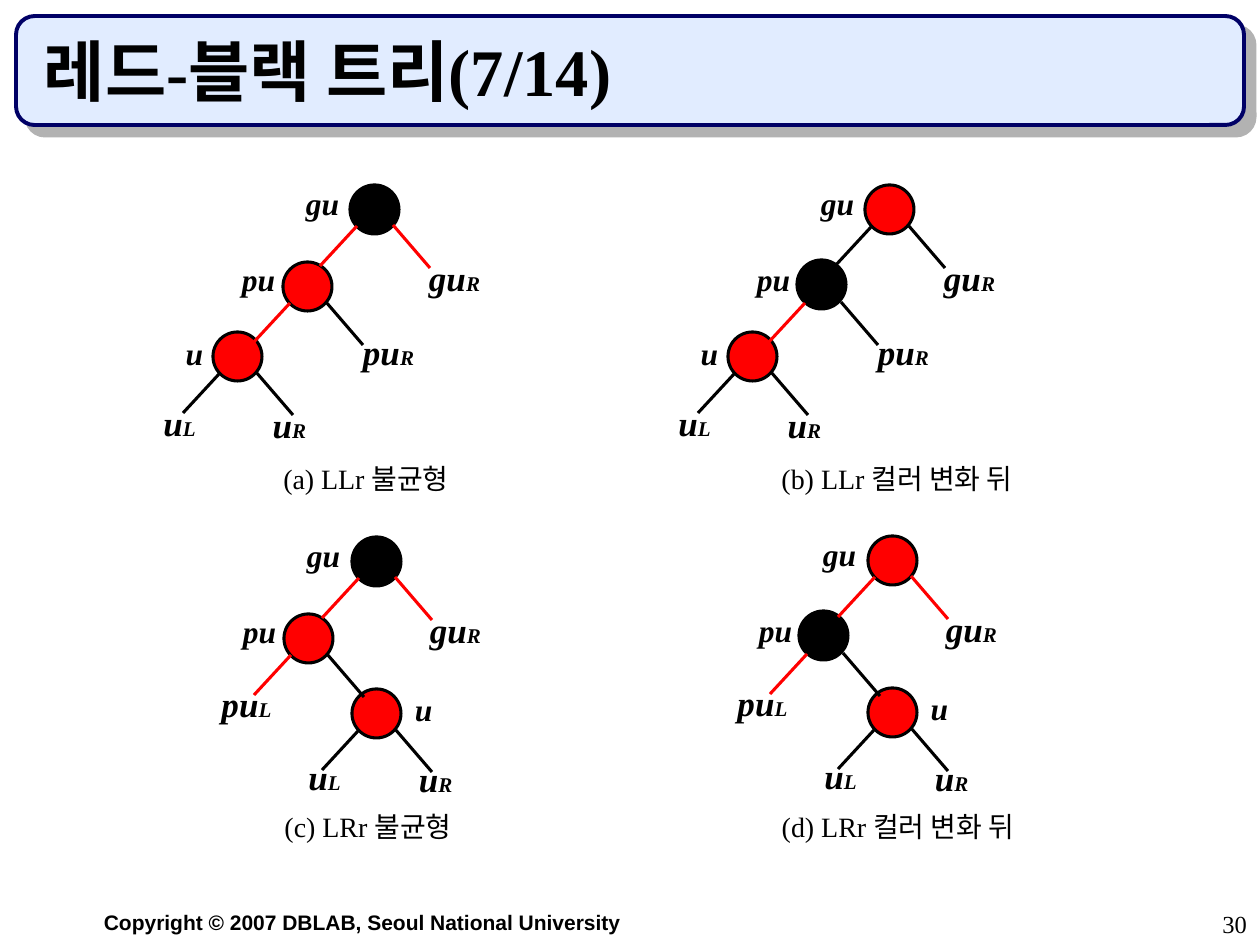
from lxml import etree
from pptx import Presentation
from pptx import util as u
from pptx.dml.color import RGBColor
from pptx.enum import shapes, text
from pptx.oxml.ns import qn

PX = 914400 / 126
RED, BLACK = "FF0000", "000000"
SERIF = "Times New Roman"
DISC = 49
MID, LEFT, RIGHT = text.PP_ALIGN.CENTER, text.PP_ALIGN.LEFT, text.PP_ALIGN.RIGHT

LL = {
    "nodes": {"gu": (0, 0), "pu": (-67, 77), "u": (-137, 147)},
    "names": {"gu": (-57, 0), "pu": (-121, 76), "u": (-185, 150)},
    "leaves": [("u", "L", -205, 218), ("u", "R", -95, 220),
               ("pu", "R", -6, 147), ("gu", "R", 60, 73)],
}
LR = {
    "nodes": {"gu": (0, 0), "pu": (-68, 77), "u": (0, 152)},
    "names": {"gu": (-58, 0), "pu": (-122, 76), "u": (42, 154)},
    "leaves": [("u", "L", -62, 220), ("u", "R", 49, 222),
               ("pu", "L", -150, 147), ("gu", "R", 59, 73)],
}
TREES = [
    (LL, 350, 185, BLACK, RED, "(a) LLr 불균형", 248, 277),
    (LL, 865, 185, RED, BLACK, "(b) LLr 컬러 변화 뒤", 280, 277),
    (LR, 352, 537, BLACK, RED, "(c) LRr 불균형", 248, 273),
    (LR, 868, 536, RED, RED, "(d) LRr 컬러 변화 뒤", 276, 274),
]


def px(n):
    """Turn pixels into EMU."""
    return u.Emu(round(n * PX))


def rgb(code):
    """Turn a hex string into a colour."""
    return RGBColor.from_string(code)


def shape(slide, kind, box, fill, line, width):
    """Add a filled and outlined preset shape."""
    item = slide.shapes.add_shape(kind, *map(px, box))
    item.shadow.inherit = False
    item.fill.solid()
    item.fill.fore_color.rgb = rgb(fill)
    item.line.color.rgb = rgb(line)
    item.line.width = u.Pt(width)
    return item


def write(slide, box, parts, align=MID, font=SERIF, bold=False,
          slant=False, space=1.0, anchor=text.MSO_ANCHOR.TOP):
    """Add one line of text made of (words, size) parts."""
    frame = slide.shapes.add_textbox(*map(px, box)).text_frame
    frame.word_wrap = True
    frame.margin_left = frame.margin_right = 0
    frame.vertical_anchor = anchor
    para = frame.paragraphs[0]
    para.alignment = align
    para.line_spacing = space
    para.font.name = font
    para.font.bold = bold
    para.font.italic = slant
    para.font.color.rgb = rgb(BLACK)
    for words, size in parts:
        run = para.add_run()
        run.text = words
        run.font.size = u.Pt(size)


def edge(slide, x, y, side, ink):
    """Draw the branch that leaves the node at x, y to one side."""
    dx, dy, run, drop = {"L": (7, 41, -37, 40), "R": (43, 40, 37, 43)}[side]
    x, y = x + dx, y + dy
    ends = map(px, (x, y, x + run, y + drop))
    line = slide.shapes.add_connector(shapes.MSO_CONNECTOR.STRAIGHT, *ends)
    line.line.color.rgb = rgb(ink)
    line.line.width = u.Pt(1.75)
    etree.SubElement(line._element.spPr, qn("a:effectLst"))


def tree(slide, plan, x, y, top, ink, title, width, drop):
    """Draw one tree with its names, leaves and caption."""
    fills = {"gu": top, "pu": RED if top == BLACK else BLACK, "u": RED}
    for name, (dx, dy) in plan["nodes"].items():
        lift = (1, 2) if (name, fills[name]) == ("pu", BLACK) else (0, 0)
        box = (x + dx - lift[0], y + dy - lift[1], DISC, DISC)
        shape(slide, shapes.MSO_SHAPE.OVAL, box, fills[name], BLACK, 1.75)
        left, high = plan["names"][name]
        write(slide, (x + left, y + high, 59, 43), [(name, 18)],
              bold=True, slant=True, space=0.8)
    for name, side, dx, dy in plan["leaves"]:
        wide = 69 if name == "u" else 89
        write(slide, (x + dx, y + dy, wide, 47), [(name, 20), (side, 12)],
              bold=True, slant=True, space=0.8)
    for name, (dx, dy) in plan["nodes"].items():
        for side in "LR":
            shade = ink if name == "gu" else BLACK
            if (name, side) == ("pu", "L"):
                shade = RED
            edge(slide, x + dx, y + dy, side, shade)
    write(slide, (x - 108, y + drop, width, 40), [(title, 16)], space=0.8)


def banner(slide):
    """Add the title panel with its hard shadow and the title."""
    panel = shape(slide, shapes.MSO_SHAPE.ROUNDED_RECTANGLE,
                  (16, 16, 1228, 109), "E1ECFF", "000066", 2.25)
    panel.adjustments[0] = 0.17
    effects = panel._element.spPr.find(qn("a:effectLst"))
    shade = etree.SubElement(effects, qn("a:outerShdw"), blurRad="0",
                             dist=str(u.Pt(8.5)), dir="2700000",
                             algn="ctr", rotWithShape="0")
    etree.SubElement(shade, qn("a:srgbClr"), val="B2B2B2")
    write(slide, (44, 32, 1162, 84), [("레드-블랙 트리(7/14)", 38)], LEFT,
          bold=True, anchor=text.MSO_ANCHOR.BOTTOM)


def main():
    """Build the slide and save it."""
    deck = Presentation()
    deck.slide_width, deck.slide_height = px(1260), px(945)
    slide = deck.slides.add_slide(deck.slide_layouts[6])
    banner(slide)
    for item in TREES:
        tree(slide, *item)
    write(slide, (32, 903, 661, 38),
          [("Copyright © 2007 DBLAB, Seoul National University", 12)],
          font="Arial", bold=True)
    write(slide, (998, 903, 249, 42), [("30", 14)], RIGHT)
    deck.save("out.pptx")


if __name__ == "__main__":
    main()
